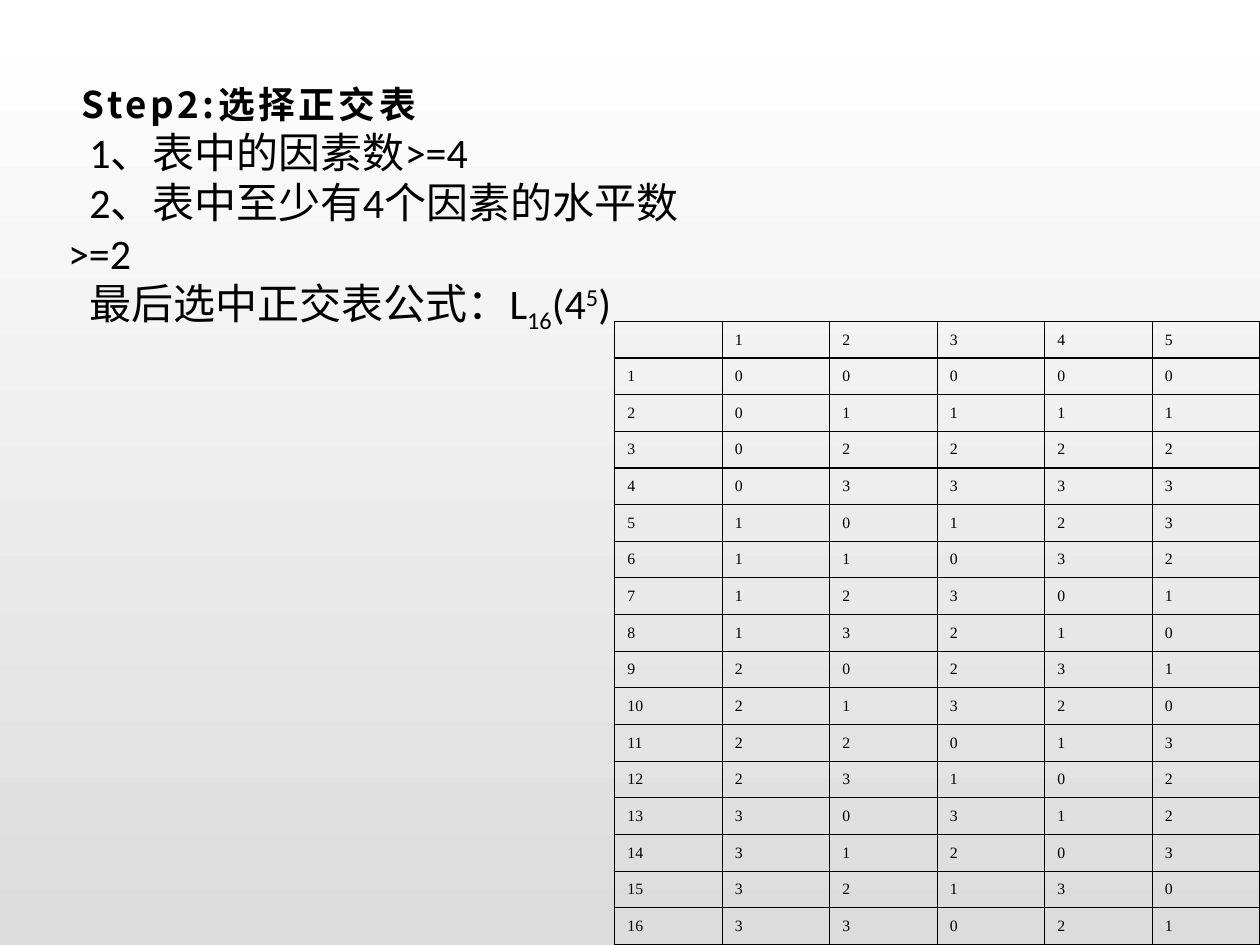
import dataclasses

import pptx
import pptx.util
import pptx.dml.color
import pptx.enum.text
import pptx.oxml.ns
from lxml import etree
from pptx.util import Inches

qn = pptx.oxml.ns.qn


@dataclasses.dataclass(frozen=True)
class Theme:
    ink: str = "000000"
    background_top: str = "FFFFFF"
    background_bottom: str = "DCDCDC"
    heading_font: str = "Noto Sans CJK SC"
    body_font: str = "Calibri"
    grid_font: str = "Times New Roman"
    heading_size: float = 21
    body_size: float = 24
    grid_size: float = 9
    border_width: float = 0.75


THEME = Theme()
HEADING = "Step2:选择正交表"
CRITERIA = [
    [("1、表中的因素数>=4", 0)],
    [("2、表中至少有4个因素的水平数>=2", 0)],
    [("最后选中正交表公式：L", 0), ("16", -25), ("(4", 0), ("5", 30), (")", 0)],
]
RUN_LEVELS = [
    "00000", "01111", "02222", "03333",
    "10123", "11032", "12301", "13210",
    "20231", "21320", "22013", "23102",
    "30312", "31203", "32130", "33021",
]


def rgb(value):
    return pptx.dml.color.RGBColor.from_string(value)


def add_text(paragraph, text, font, size, bold=False, spacing=0, baseline=0):
    run = paragraph.add_run()
    run.text = text
    run.font.name = font
    run.font.size = pptx.util.Pt(size)
    run.font.bold = bold
    run.font.color.rgb = rgb(THEME.ink)
    properties = run.font._element
    etree.SubElement(properties, qn("a:ea")).set("typeface", THEME.heading_font)
    if spacing:
        properties.set("spc", str(spacing * 100))
    if baseline:
        properties.set("baseline", str(baseline * 1000))


def place(placeholder, box):
    placeholder.left, placeholder.top, placeholder.width, placeholder.height = box
    frame = placeholder.text_frame
    frame.word_wrap = True
    frame.auto_size = pptx.enum.text.MSO_AUTO_SIZE.NONE
    frame.vertical_anchor = pptx.enum.text.MSO_ANCHOR.MIDDLE
    return frame


def paint_background(slide):
    fill = slide.background.fill
    fill.gradient()
    fill.gradient_angle = 270
    top, bottom = fill.gradient_stops
    top.position, bottom.position = 0, 1
    top.color.rgb = rgb(THEME.background_top)
    bottom.color.rgb = rgb(THEME.background_bottom)


def fill_heading(slide, box):
    paragraph = place(slide.shapes.title, box).paragraphs[0]
    paragraph.alignment = pptx.enum.text.PP_ALIGN.LEFT
    add_text(paragraph, HEADING, THEME.heading_font, THEME.heading_size,
             bold=True, spacing=2)


def fill_criteria(slide, box):
    frame = place(slide.placeholders[1], box)
    for index, pieces in enumerate(CRITERIA):
        paragraph = frame.add_paragraph() if index else frame.paragraphs[0]
        paragraph.space_before = pptx.util.Pt(0)
        properties = paragraph._p.get_or_add_pPr()
        properties.set("marL", "0")
        properties.set("indent", str(Inches(0.17)))
        etree.SubElement(properties, qn("a:buNone"))
        for text, baseline in pieces:
            add_text(paragraph, text, THEME.body_font, THEME.body_size,
                     baseline=baseline)


def add_borders(cell):
    properties = cell._tc.get_or_add_tcPr()
    for side in ("lnL", "lnR", "lnT", "lnB"):
        line = etree.SubElement(properties, qn(f"a:{side}"))
        line.set("w", str(pptx.util.Pt(THEME.border_width)))
        solid = etree.SubElement(line, qn("a:solidFill"))
        etree.SubElement(solid, qn("a:srgbClr")).set("val", THEME.ink)


def add_orthogonal_table(slide, box):
    rows = [["", *"12345"]]
    rows += [[str(number), *levels] for number, levels in enumerate(RUN_LEVELS, 1)]
    table = slide.shapes.add_table(len(rows), len(rows[0]), *box).table
    table.first_row = table.horz_banding = False
    for column in table.columns:
        column.width = box[2] // len(rows[0])
    for row, values in zip(table.rows, rows):
        row.height = box[3] // len(rows)
        for cell, value in zip(row.cells, values):
            add_borders(cell)
            cell.fill.background()
            cell.vertical_anchor = pptx.enum.text.MSO_ANCHOR.MIDDLE
            paragraph = cell.text_frame.paragraphs[0]
            if value:
                add_text(paragraph, value, THEME.grid_font, THEME.grid_size)
            else:
                end = etree.SubElement(paragraph._p, qn("a:endParaRPr"))
                end.set("sz", str(THEME.grid_size * 100))


def main():
    deck = pptx.Presentation()
    deck.slide_width, deck.slide_height = Inches(10), Inches(7.5)
    slide = deck.slides.add_slide(deck.slide_layouts[1])
    paint_background(slide)
    fill_heading(slide, (Inches(0.55), Inches(0.47), Inches(8.9), Inches(0.71)))
    fill_criteria(slide, (Inches(0.44), Inches(1.18), Inches(5.37), Inches(1.3)))
    add_orthogonal_table(
        slide, (Inches(4.88), Inches(2.55), Inches(5.12), Inches(4.95)))
    deck.save("out.pptx")


if __name__ == "__main__":
    main()
